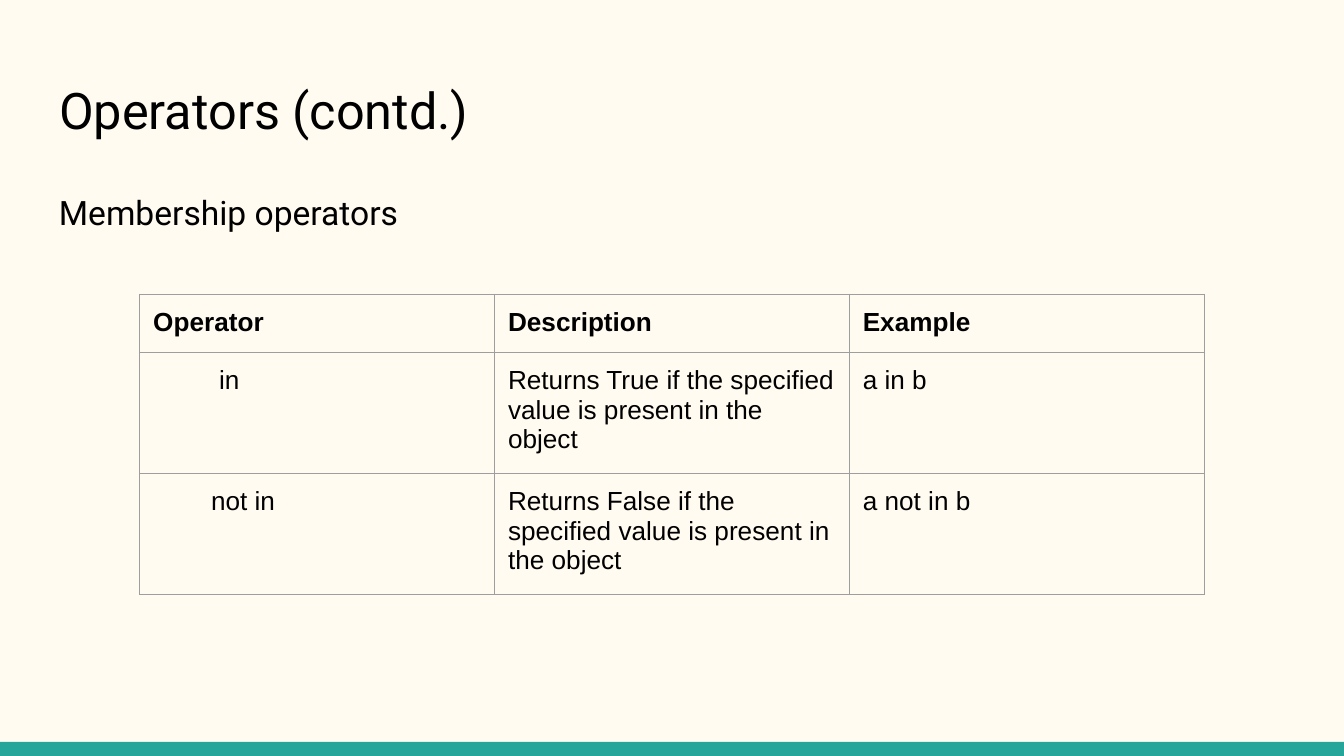
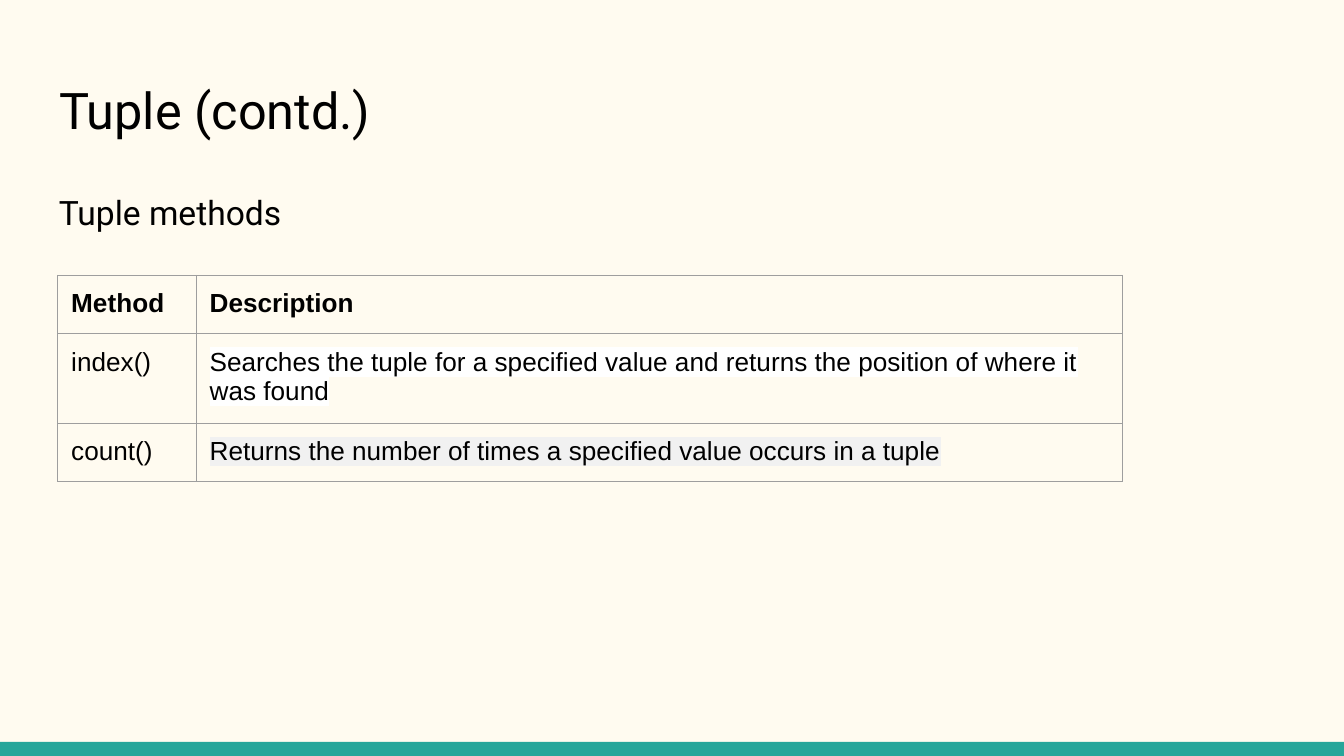
from dataclasses import dataclass

from lxml.etree import SubElement
from pptx import Presentation
from pptx.dml.color import RGBColor
from pptx.enum.shapes import MSO_SHAPE
from pptx.enum.text import MSO_ANCHOR, MSO_AUTO_SIZE, PP_ALIGN
from pptx.oxml.ns import qn
from pptx.util import Inches, Pt


@dataclass(frozen=True)
class Theme:
    background: str = "FFFBF0"
    band: str = "26A69A"
    text: str = "000000"
    border: str = "9E9E9E"
    heading_font: str = "Roboto"
    table_font: str = "Arial"
    title_size: float = 27
    subtitle_size: float = 18
    table_size: float = 14
    border_width: float = 0.75
    inset: float = 0.1


theme = Theme()

# Rows hold cell texts; indents and highlights are keyed by (row, column).
slide_contents = [
    {
        "title": "Operators (contd.)",
        "subtitle": "Membership operators",
        "position": (1.04, 2.19),
        "columns": (2.64, 2.64, 2.64),
        "row_heights": (0.42, 0.42, 0.37),
        "rows": [
            ("Operator", "Description", "Example"),
            ("in", "Returns True if the specified value is present in the object", "a in b"),
            ("not in", "Returns False if the specified value is present in the object", "a not in b"),
        ],
        "indents": {(1, 0): 0.49, (2, 0): 0.43},
        "highlights": {},
    },
    {
        "title": "Tuple (contd.)",
        "subtitle": "Tuple methods",
        "position": (0.43, 2.05),
        "columns": (1.03, 6.89),
        "row_heights": (0.42, 0.42, 0.42),
        "rows": [
            ("Method", "Description"),
            ("index()", "Searches the tuple for a specified value and returns the position of where it was found"),
            ("count()", "Returns the number of times a specified value occurs in a tuple"),
        ],
        "indents": {},
        "highlights": {(1, 1): "FFFFFF", (2, 1): "F1F1F1"},
    },
]


def write_text(container, text, font_name, size, bold=False):
    """Fill a text frame or cell with one run and return its paragraph and run."""
    container.margin_left = container.margin_right = Inches(theme.inset)
    container.margin_top = container.margin_bottom = Inches(theme.inset)
    frame = getattr(container, "text_frame", container)
    frame.word_wrap = True
    paragraph = frame.paragraphs[0]
    paragraph.alignment = PP_ALIGN.LEFT
    run = paragraph.add_run()
    run.text = text
    run.font.name = font_name
    run.font.size = Pt(size)
    run.font.bold = bold
    run.font.color.rgb = RGBColor.from_string(theme.text)
    return paragraph, run


def format_cell(cell):
    """Give a cell thin borders on all sides and no fill."""
    properties = cell._tc.get_or_add_tcPr()
    for side in ("lnL", "lnR", "lnT", "lnB"):
        line = SubElement(properties, qn(f"a:{side}"), w=str(Pt(theme.border_width)))
        line_fill = SubElement(line, qn("a:solidFill"))
        SubElement(line_fill, qn("a:srgbClr"), val=theme.border)
    cell.fill.background()


presentation = Presentation()
presentation.slide_width = Inches(10)
presentation.slide_height = Inches(10) * 9 // 16
background = presentation.slide_master.background.fill
background.solid()
background.fore_color.rgb = RGBColor.from_string(theme.background)
title_only = presentation.slide_layouts.get_by_name("Title Only")

for content in slide_contents:
    slide = presentation.slides.add_slide(title_only)

    band = slide.shapes.add_shape(
        MSO_SHAPE.RECTANGLE, Inches(0), Inches(5.52), Inches(10), Inches(0.11))
    band.shadow.inherit = False
    band.fill.solid()
    band.fill.fore_color.rgb = RGBColor.from_string(theme.band)
    band.line.fill.background()

    title = slide.shapes.title
    title.left, title.top = Inches(0.34), Inches(0.49)
    title.width, title.height = Inches(9.32), Inches(0.67)
    title.text_frame.vertical_anchor = MSO_ANCHOR.TOP
    title.text_frame.auto_size = MSO_AUTO_SIZE.NONE
    write_text(title.text_frame, content["title"], theme.heading_font, theme.title_size)

    subtitle = slide.shapes.add_textbox(
        Inches(0.34), Inches(1.28), Inches(9.32), Inches(3.72))
    paragraph, run = write_text(
        subtitle.text_frame, content["subtitle"], theme.heading_font, theme.subtitle_size)
    paragraph.line_spacing = 1.15
    paragraph.space_after = Pt(12)

    left, top = content["position"]
    table = slide.shapes.add_table(
        len(content["rows"]), len(content["columns"]), Inches(left), Inches(top),
        Inches(sum(content["columns"])), Inches(sum(content["row_heights"]))).table
    table.first_row = table.horz_banding = False
    for column, width in zip(table.columns, content["columns"]):
        column.width = Inches(width)
    for row, height in zip(table.rows, content["row_heights"]):
        row.height = Inches(height)

    for row_index, texts in enumerate(content["rows"]):
        for column_index, text in enumerate(texts):
            place = (row_index, column_index)
            cell = table.cell(*place)
            format_cell(cell)
            paragraph, run = write_text(
                cell, text, theme.table_font, theme.table_size, bold=row_index == 0)
            if place in content["indents"]:
                indent = Inches(content["indents"][place])
                paragraph._p.get_or_add_pPr().set("marL", str(indent))
            if place in content["highlights"]:
                run_properties = run._r.get_or_add_rPr()
                highlight = SubElement(run_properties, qn("a:highlight"))
                SubElement(highlight, qn("a:srgbClr"), val=content["highlights"][place])
                run_properties.find(qn("a:solidFill")).addnext(highlight)

presentation.save("out.pptx")
